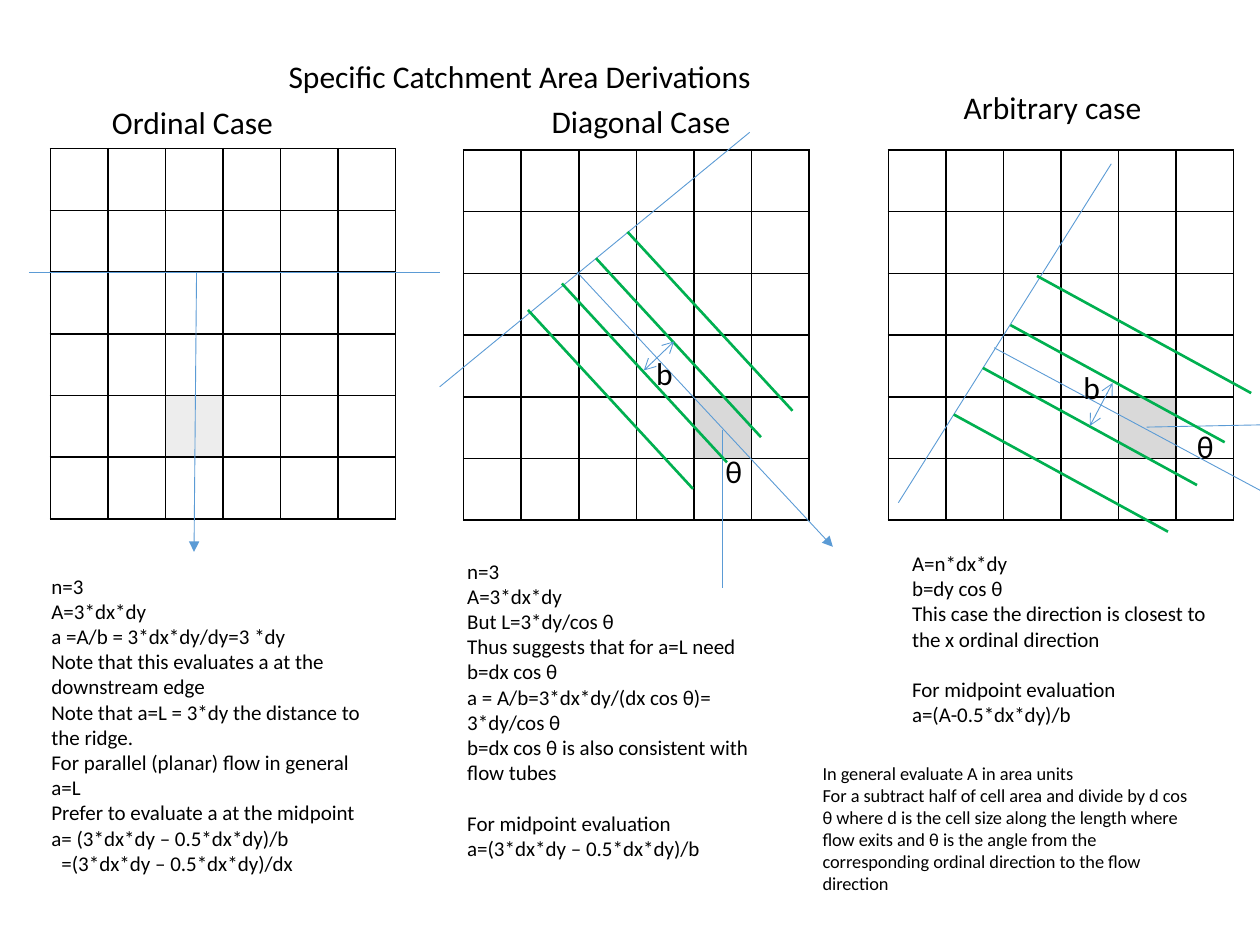
from lxml import etree
from pptx import Presentation
from pptx import util as u
from pptx.dml.color import RGBColor
from pptx.enum import shapes, text
from pptx.oxml import ns

BLUE, GREEN, BLACK = "5B9BD5", "00B050", "000000"


def rgb(code):
    return RGBColor.from_string(code)


def sub(node, tag, **attrs):
    return etree.SubElement(node, ns.qn(tag), attrs)


class Sketch:
    font = "Calibri"
    cell = (0.457, 0.49)
    count = 6

    def __init__(self, slide):
        self.slide = slide

    def style(self, frame, lines, size, wrap):
        frame.word_wrap = wrap
        frame.auto_size = text.MSO_AUTO_SIZE.NONE
        frame.vertical_anchor = text.MSO_ANCHOR.TOP
        frame.text = "\n".join(lines)
        for para in frame.paragraphs:
            para.alignment = text.PP_ALIGN.LEFT
            for run in para.runs:
                run.font.size = u.Pt(size)
                run.font.name = self.font
                run.font.color.rgb = rgb(BLACK)
        return frame.paragraphs

    def title(self, line, *box):
        shape = self.slide.shapes.title
        shape.left, shape.top, shape.width, shape.height = map(u.Inches, box)
        self.style(shape.text_frame, [line], 18, False)

    def label(self, line, left, top, width=0.34):
        self.notes([line], left, top, width, 0.4, 18, False)

    def notes(self, lines, left, top, width, height, size=12, wrap=True):
        box = self.slide.shapes.add_textbox(
            *map(u.Inches, (left, top, width, height)))
        return self.style(box.text_frame, lines, size, wrap)

    def line(self, start, end, color=BLUE, width=0.5, head=None, tail=None):
        link = self.slide.shapes.add_connector(
            shapes.MSO_CONNECTOR.STRAIGHT, *map(u.Inches, start + end))
        link.line.color.rgb = rgb(color)
        link.line.width = u.Pt(width)
        props = link.line._get_or_add_ln()
        if head:
            sub(props, "a:headEnd", type=head)
        if tail:
            sub(props, "a:tailEnd", type=tail)
        sub(link._element.spPr, "a:effectLst")

    def tubes(self, starts, dx, dy):
        for x, y in starts:
            self.line((x, y), (x + dx, y + dy), GREEN, 1.5)

    def grid(self, left, top, mark, shade):
        wide, high = self.cell
        n = self.count
        table = self.slide.shapes.add_table(
            n, n, *map(u.Inches, (left, top, n * wide, n * high))).table
        table.first_row = table.horz_banding = False
        for col in table.columns:
            col.width = u.Inches(wide)
        for row in table.rows:
            row.height = u.Inches(high)
        for cell in table.iter_cells():
            props = cell._tc.get_or_add_tcPr()
            for side in ("a:lnL", "a:lnR", "a:lnT", "a:lnB"):
                edge = sub(props, side, w=str(u.Pt(1)))
                sub(sub(edge, "a:solidFill"), "a:srgbClr", val=BLACK)
            cell.fill.background()
        fill = table.cell(*mark).fill
        fill.solid()
        fill.fore_color.rgb = rgb(shade)


deck = Presentation()
deck.slide_width, deck.slide_height = u.Inches(10), u.Inches(7.5)
art = Sketch(deck.slides.add_slide(deck.slide_layouts[5]))
art.title("Specific Catchment Area Derivations", 2.19, 0.4, 3.92, 0.4)

# Ordinal case
art.grid(0.4, 1.18, (4, 2), "EDEDED")
art.line((0.23, 2.16), (3.49, 2.16))
art.line((1.56, 2.16), (1.54, 4.38), tail="triangle")
art.label("Ordinal Case", 0.79, 0.77, 1.49)
paras = art.notes([
    "n=3",
    "A=3*dx*dy",
    "a =A/b = 3*dx*dy/dy=3 *dy",
    "Note that this evaluates a at the downstream edge",
    "Note that a=L = 3*dy the distance to the ridge.",
    "For parallel (planar) flow in general a=L",
    "Prefer to evaluate a at the midpoint",
    "a= (3*dx*dy – 0.5*dx*dy)/b",
    "=(3*dx*dy – 0.5*dx*dy)/dx",
], 0.31, 4.5, 2.66, 2.52)
paras[-1]._p.get_or_add_pPr().set("marL", str(u.Inches(0.08)))

# Diagonal case
art.grid(3.68, 1.19, (4, 4), "D9D9D9")
art.line((3.49, 3.07), (5.95, 1.05))
art.line((4.58, 2.16), (6.61, 4.34), tail="triangle")
art.line((5.73, 3.41), (5.73, 4.67))
art.tubes([(4.19, 2.46), (4.46, 2.25), (4.73, 2.05), (4.98, 1.84)], 1.31, 1.42)
art.line((5.11, 2.94), (5.35, 2.71), head="arrow", tail="arrow")
art.label("θ", 5.66, 3.54)
art.label("b", 5.11, 2.76)
art.label("Diagonal Case", 4.28, 0.76, 1.64)
paras = art.notes([
    "n=3",
    "A=3*dx*dy",
    "But L=3*dy/cos θ",
    "Thus suggests that for a=L need",
    "b=dx cos θ ",
    "a = A/b=3*dx*dy/(dx cos θ)= 3*dy/cos θ",
    "b=dx cos θ is also consistent with flow tubes",
    "For midpoint evaluation",
    "a=(3*dx*dy – 0.5*dx*dy)/b",
], 3.61, 4.38, 2.66, 2.52)
paras[-2].space_before = u.Pt(14.4)

# Arbitrary case
art.grid(7.05, 1.19, (4, 4), "D9D9D9")
art.line((9.1, 3.39), (10.12, 3.37))
art.line((7.13, 3.99), (8.82, 1.3))
art.line((7.89, 2.76), (10.52, 4.17), tail="triangle")
art.tubes([(7.57, 3.29), (7.8, 2.92), (8.02, 2.58), (8.23, 2.19)], 1.7, 0.93)
art.line((8.65, 3.38), (8.83, 3.04), head="arrow", tail="arrow")
art.label("θ", 9.4, 3.34)
art.label("b", 8.5, 2.87)
art.label("Arbitrary case", 7.55, 0.65, 1.62)
paras = art.notes([
    "A=n*dx*dy",
    "b=dy cos θ ",
    "This case the direction is closest to the x ordinal direction",
    "For midpoint evaluation",
    "a=(A-0.5*dx*dy)/b",
], 7.14, 4.32, 2.66, 1.51)
paras[-2].space_before = u.Pt(14.4)

# General rule
art.notes([
    "In general evaluate A in area units",
    "For a subtract half of cell area and divide by d cos θ where d is the "
    "cell size along the length where flow exits and θ is the angle from the "
    "corresponding ordinal direction to the flow direction",
], 6.43, 6, 3.17, 1.16, 10.5)

deck.save("out.pptx")
